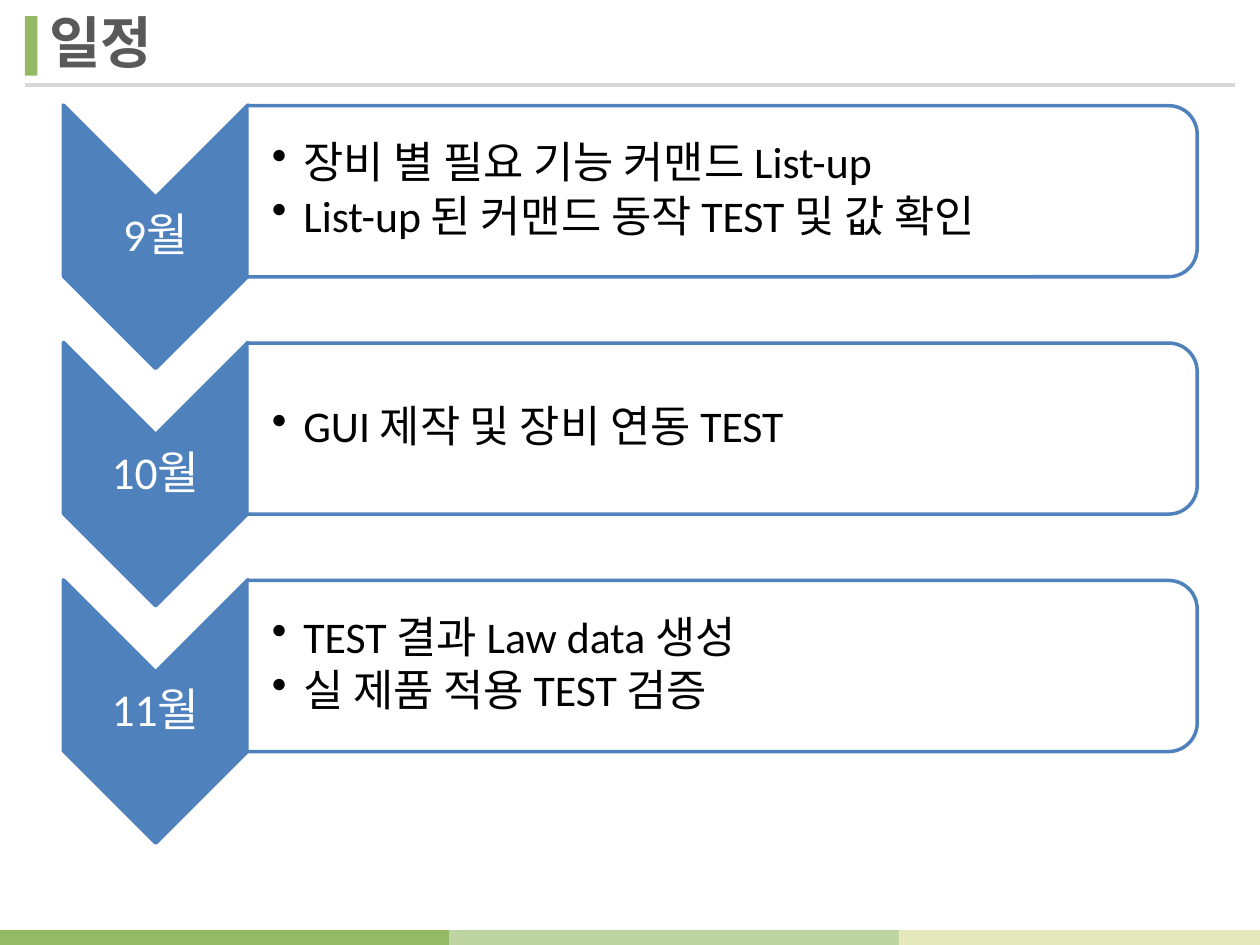
from lxml import etree
from pptx import Presentation
from pptx.dml.color import RGBColor
from pptx.enum.shapes import MSO_CONNECTOR, MSO_SHAPE
from pptx.enum.text import MSO_ANCHOR, PP_ALIGN
from pptx.oxml.ns import qn
from pptx.util import Pt

RECT = MSO_SHAPE.RECTANGLE
ARROW = MSO_SHAPE.CHEVRON
PANEL = MSO_SHAPE.ROUND_2_SAME_RECTANGLE
LINE = MSO_CONNECTOR.STRAIGHT
MID = MSO_ANCHOR.MIDDLE
LEFT, CENTER = PP_ALIGN.LEFT, PP_ALIGN.CENTER

FONT = "Calibri"
BLUE, WHITE, GREEN = "4F81BD", "FFFFFF", "94BA65"
STEP = 135.65  # distance between months
PLAN = [
    ("9월", ["장비 별 필요 기능 커맨드 List-up",
            "List-up 된 커맨드 동작 TEST 및 값 확인"]),
    ("10월", ["GUI 제작 및 장비 연동 TEST"]),
    ("11월", ["TEST 결과 Law data 생성", "실 제품 적용 TEST 검증"]),
]
FOOTER = [(0, 257, GREEN), (257, 257, "BED5A3"), (514, 206, "E4E8BA")]


def color(code):
    return RGBColor.from_string(code)


def add_shape(slide, kind, box, fill, line=None, turn=0):
    shape = slide.shapes.add_shape(kind, *map(Pt, box))
    shape.shadow.inherit = False
    shape.rotation = turn
    shape.fill.solid()
    shape.fill.fore_color.rgb = color(fill)
    if line:
        shape.line.color.rgb = color(line)
        shape.line.width = Pt(2)
    else:
        shape.line.fill.background()


def add_rule(slide, left, right, top):
    rule = slide.shapes.add_connector(LINE, Pt(left), Pt(top), Pt(right), Pt(top))
    rule.line.color.rgb = color("D9D9D9")
    rule.line.width = Pt(2.25)
    etree.SubElement(rule._element.spPr, qn("a:effectLst"))


def add_text(slide, box, lines, size, ink, align=LEFT, inset=1.5, bold=False):
    frame = slide.shapes.add_textbox(*map(Pt, box)).text_frame
    frame.word_wrap = True
    frame.vertical_anchor = MID
    frame.margin_left = Pt(inset)
    frame.margin_right = frame.margin_top = frame.margin_bottom = Pt(1.5)
    frame.text = "\n".join(lines)
    for para in frame.paragraphs:
        para.alignment = align
        para.line_spacing = 0.9
        font = para.runs[0].font
        font.name = FONT
        font.size = Pt(size)
        font.bold = bold
        font.color.rgb = color(ink)
    return frame


def add_bullets(frame):
    for para in frame.paragraphs:
        para.space_after = Pt(3.75)
        props = para._p.get_or_add_pPr()
        props.set("marL", str(Pt(18)))
        props.set("indent", str(Pt(-18)))
        etree.SubElement(props, qn("a:buChar")).set("char", "•")


def add_month(slide, top, name, tasks):
    # Arrow and panel are drawn upright, then turned a quarter
    add_shape(slide, ARROW, (13.7, top + 22.6, 150.5, 105.35), BLUE, BLUE, 90)
    add_text(slide, (36.2, top + 52.8, 105.35, 45.2), [name], 26, WHITE, CENTER)
    add_shape(slide, PANEL, (363.7, top - 222.2, 97.8, 543), WHITE, BLUE, 90)
    box = (141.5, top + 5, 538, 88.3)
    add_bullets(add_text(slide, box, tasks, 25, "000000", inset=13.9))


def main():
    deck = Presentation()
    deck.slide_width, deck.slide_height = Pt(720), Pt(540)
    slide = deck.slides.add_slide(deck.slide_layouts[6])

    # Header and footer
    add_shape(slide, RECT, (14.2, 9.2, 7.2, 34), GREEN)
    add_rule(slide, 14.2, 705.8, 48.8)
    for left, width, fill in FOOTER:
        add_shape(slide, RECT, (left, 531.5, width, 8.5), fill)
    add_text(slide, (21.1, 11.5, 684.7, 29), ["일정"], 32, "595959",
             inset=7.2, bold=True)

    # Months
    for row, (name, tasks) in enumerate(PLAN):
        add_month(slide, 60 + row * STEP, name, tasks)

    deck.save("out.pptx")


if __name__ == "__main__":
    main()
